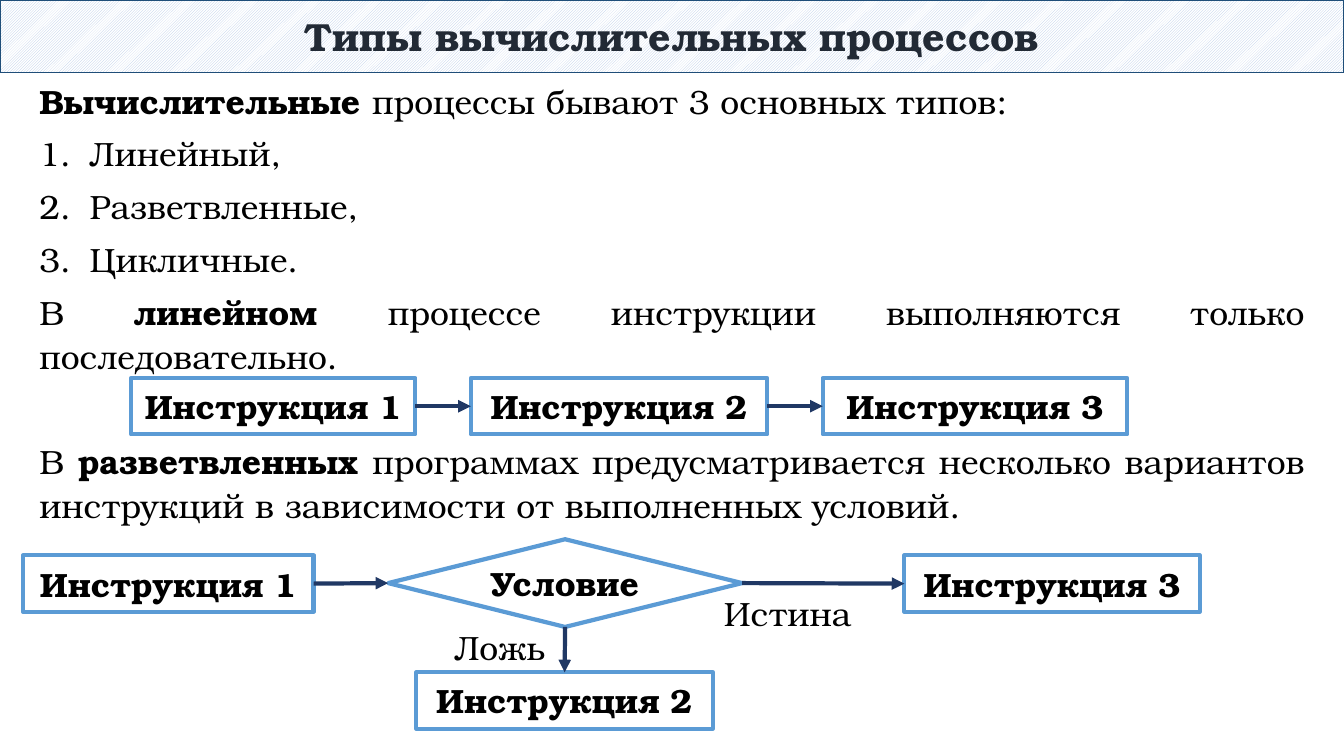
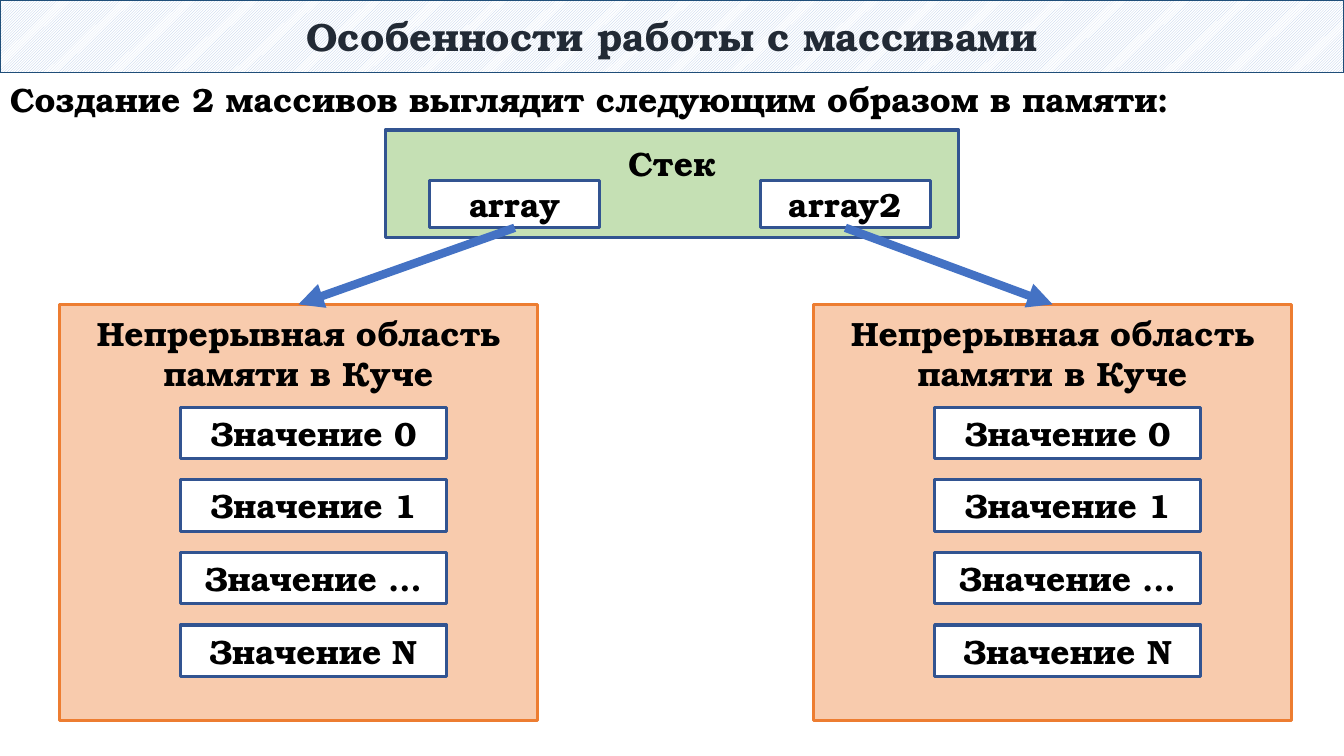
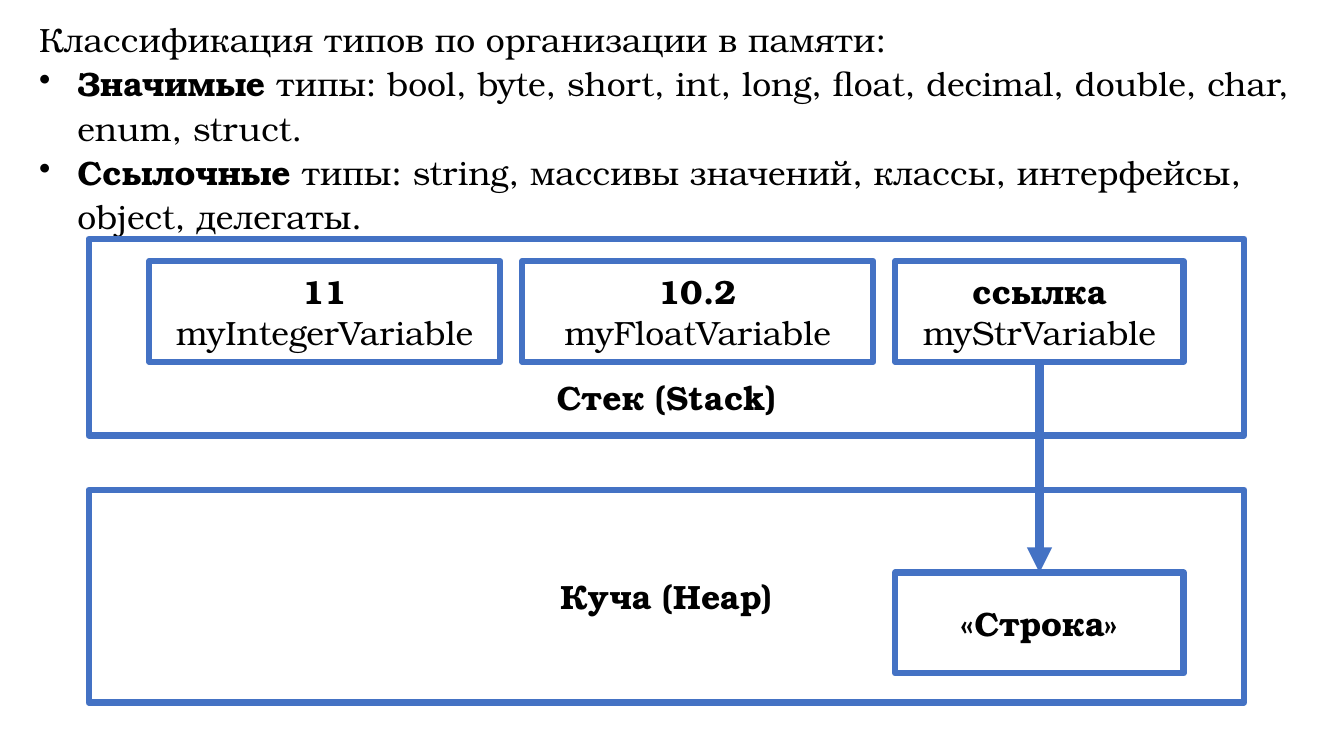
from dataclasses import dataclass
from typing import NamedTuple

from lxml.etree import SubElement
from pptx import Presentation
from pptx.dml.color import RGBColor
from pptx.enum.dml import MSO_PATTERN
from pptx.enum.shapes import MSO_CONNECTOR, MSO_SHAPE
from pptx.enum.text import MSO_ANCHOR, PP_ALIGN
from pptx.oxml.ns import qn
from pptx.util import Inches, Pt


class Outline(NamedTuple):
    color: str
    width: float


class BoxStyle(NamedTuple):
    fill: str
    outline: Outline


@dataclass(frozen=True)
class Theme:
    font: str = "TeX Gyre Bonum"
    text_size: int = 24
    title_size: int = 28
    text_color: str = "000000"
    title_color: str = "222A35"
    band_stripe: str = "B4C7E7"
    white: str = "FFFFFF"
    band_outline: Outline = Outline("1F4E79", 1.25)
    step: BoxStyle = BoxStyle("FFFFFF", Outline("5B9BD5", 3))
    cell: BoxStyle = BoxStyle("FFFFFF", Outline("325491", 2.25))
    stack: BoxStyle = BoxStyle("C5E0B4", Outline("325491", 2.25))
    heap: BoxStyle = BoxStyle("F8CBAD", Outline("ED7D31", 2.25))
    memory: BoxStyle = BoxStyle("FFFFFF", Outline("4472C4", 4.5))
    flow: Outline = Outline("203864", 3)
    reference: Outline = Outline("4472C4", 6)


TOP, LEFT, BOTTOM, RIGHT = range(4)
NUMBERED = ("a:buAutoNum", {"type": "arabicPeriod"})
BULLETED = ("a:buChar", {"char": "•"})


class Deck:
    """Draws slide elements in one theme; asterisks in a text enclose bold runs."""

    def __init__(self, theme):
        self.theme = theme
        self.presentation = Presentation()
        self.presentation.slide_width = Inches(13.33)
        self.presentation.slide_height = Inches(7.5)
        self.slide = None

    def new_slide(self):
        self.slide = self.presentation.slides.add_slide(self.presentation.slide_layouts[6])

    def fill_frame(self, frame, lines, align, anchor, insets, size, color):
        frame.word_wrap = True
        frame.vertical_anchor = anchor
        left, top, right, bottom = insets
        frame.margin_left, frame.margin_right = Inches(left), Inches(right)
        frame.margin_top, frame.margin_bottom = Inches(top), Inches(bottom)
        for index, line in enumerate(lines):
            paragraph = frame.add_paragraph() if index else frame.paragraphs[0]
            paragraph.alignment = align
            for position, text in enumerate(line.split("*")):
                if text:
                    run = paragraph.add_run()
                    run.text = text
                    run.font.name = self.theme.font
                    run.font.size = Pt(size)
                    run.font.bold = position % 2 == 1
                    run.font.color.rgb = RGBColor.from_string(color)

    def set_line(self, line, outline):
        line.color.rgb = RGBColor.from_string(outline.color)
        line.width = Pt(outline.width)

    def shape(self, kind, at, outline):
        shape = self.slide.shapes.add_shape(kind, *map(Inches, at))
        shape.shadow.inherit = False
        self.set_line(shape.line, outline)
        return shape

    def title_band(self, text):
        theme = self.theme
        band = self.shape(MSO_SHAPE.RECTANGLE, (0, 0, 13.33, 0.72), theme.band_outline)
        band.fill.patterned()
        band.fill.pattern = MSO_PATTERN.LIGHT_UPWARD_DIAGONAL
        band.fill.fore_color.rgb = RGBColor.from_string(theme.band_stripe)
        band.fill.back_color.rgb = RGBColor.from_string(theme.white)
        self.fill_frame(band.text_frame, [f"*{text}*"], PP_ALIGN.CENTER, MSO_ANCHOR.MIDDLE,
                        (0.02,) * 4, theme.title_size, theme.title_color)

    def box(self, at, style, *lines, kind=MSO_SHAPE.RECTANGLE, anchor=MSO_ANCHOR.MIDDLE, inset=0.05):
        box = self.shape(kind, at, style.outline)
        box.fill.solid()
        box.fill.fore_color.rgb = RGBColor.from_string(style.fill)
        self.fill_frame(box.text_frame, lines, PP_ALIGN.CENTER, anchor,
                        (0.1, inset, 0.1, inset), self.theme.text_size, self.theme.text_color)
        return box

    def text(self, at, *lines, align=PP_ALIGN.LEFT, side=0.1, spacing=1.0, after=0):
        frame = self.slide.shapes.add_textbox(*map(Inches, at)).text_frame
        self.fill_frame(frame, lines, align, MSO_ANCHOR.TOP, (side, 0.05, side, 0.05),
                        self.theme.text_size, self.theme.text_color)
        for paragraph in frame.paragraphs:
            paragraph.line_spacing = spacing
            paragraph.space_after = Pt(after)
        return frame.paragraphs

    def mark_list(self, paragraphs, marker, indent):
        tag, attributes = marker
        for paragraph in paragraphs:
            properties = paragraph._p.get_or_add_pPr()
            properties.set("marL", str(Inches(indent)))
            properties.set("indent", str(-Inches(indent)))
            SubElement(properties, qn(tag), attributes)

    def arrow(self, start, start_side, end, end_side, outline):
        connector = self.slide.shapes.add_connector(MSO_CONNECTOR.STRAIGHT, 0, 0, 0, 0)
        connector.begin_connect(start, start_side)
        connector.end_connect(end, end_side)
        self.set_line(connector.line, outline)
        SubElement(connector.line._get_or_add_ln(), qn("a:tailEnd"), {"type": "triangle"})
        SubElement(connector._element.spPr, qn("a:effectLst"))


def process_types(deck):
    theme = deck.theme
    deck.new_slide()
    deck.title_band("Типы вычислительных процессов")
    paragraphs = deck.text(
        (0, 0.71, 13.33, 4.6),
        "*Вычислительные *процессы бывают 3 основных типов:",
        "Линейный,",
        "Разветвленные,",
        "Цикличные.",
        "В *линейном *процессе инструкции выполняются только последовательно.",
        "В *разветвленных *программах предусматривается несколько вариантов "
        "инструкций в зависимости от выполненных условий.",
        align=PP_ALIGN.JUSTIFY, side=0.39, spacing=1.1, after=6)
    deck.mark_list(paragraphs[1:4], NUMBERED, 0.5)
    paragraphs[-1].space_before = Pt(37.5)

    sequence = [deck.box((left, 3.75, width, 0.56), theme.step, f"*Инструкция {number}*")
                for number, (left, width) in enumerate([(1.3, 2.82), (4.67, 2.94), (8.16, 3.02)], 1)]
    for start, end in zip(sequence, sequence[1:]):
        deck.arrow(start, RIGHT, end, LEFT, theme.flow)

    first, if_false, if_true = [
        deck.box((left, top, width, 0.56), theme.step, f"*Инструкция {number}*")
        for number, (left, top, width) in enumerate(
            [(0.23, 5.51, 2.88), (4.13, 6.67, 2.94), (8.97, 5.51, 2.93)], 1)]
    condition = deck.box((3.85, 5.35, 3.51, 0.87), theme.step, "*Условие*",
                         kind=MSO_SHAPE.FLOWCHART_DECISION)
    deck.arrow(first, RIGHT, condition, LEFT, theme.flow)
    deck.arrow(condition, RIGHT, if_true, LEFT, theme.flow)
    deck.arrow(condition, BOTTOM, if_false, TOP, theme.flow)
    deck.text((7.08, 5.79, 1.61, 0.55), "Истина", spacing=1.1)
    deck.text((4.41, 6.13, 1.27, 0.55), "Ложь", spacing=1.1)


def arrays_in_memory(deck):
    theme = deck.theme
    deck.new_slide()
    deck.title_band("Особенности работы с массивами")
    deck.text((0, 0.73, 13.33, 0.5), "*Создание 2 массивов выглядит следующим образом в памяти:*")
    deck.box((3.82, 1.29, 5.69, 1.07), theme.stack, "*Стек*", anchor=MSO_ANCHOR.TOP, inset=0.13)
    for name, name_left, heap_left in [("array", 4.26, 0.59), ("array2", 7.54, 8.07)]:
        heap = deck.box((heap_left, 3.02, 4.74, 4.13), theme.heap,
                        "*Непрерывная область памяти в Куче*", anchor=MSO_ANCHOR.TOP, inset=0.08)
        for row, index in enumerate("01…N"):
            deck.box((heap_left + 1.2, 4.04 + 0.72 * row, 2.64, 0.51), theme.cell,
                     f"*Значение {index}*")
        variable = deck.box((name_left, 1.79, 1.69, 0.47), theme.cell, f"*{name}*")
        deck.arrow(variable, BOTTOM, heap, TOP, theme.reference)


def types_in_memory(deck):
    theme = deck.theme
    deck.new_slide()
    paragraphs = deck.text(
        (0.29, 0.1, 12.74, 2.29),
        "Классификация типов по организации в памяти:",
        "*Значимые* типы: bool, byte, short, int, long, float, decimal, double, char, enum, struct.",
        "*Ссылочные* типы: string, массивы значений, классы, интерфейсы, object, делегаты.",
        spacing=1.1)
    deck.mark_list(paragraphs[1:], BULLETED, 0.38)
    deck.box((0.88, 4.86, 11.46, 2.11), theme.memory, "*Куча (Heap)*")
    deck.box((0.88, 2.37, 11.46, 1.95), theme.memory, "*Стек (Stack)*",
             anchor=MSO_ANCHOR.BOTTOM, inset=0.18)
    variables = [
        deck.box((left, 2.59, width, 1), theme.memory, f"*{value}*", name)
        for left, width, value, name in [
            (1.48, 3.48, "11", "myIntegerVariable"),
            (5.18, 3.48, "10.2", "myFloatVariable"),
            (8.88, 2.86, "ссылка", "myStrVariable")]]
    string = deck.box((8.88, 5.68, 2.86, 1), theme.memory, "*«Строка»*")
    deck.arrow(variables[-1], BOTTOM, string, TOP, theme.reference)


def main():
    deck = Deck(Theme())
    process_types(deck)
    arrays_in_memory(deck)
    types_in_memory(deck)
    deck.presentation.save("out.pptx")


if __name__ == "__main__":
    main()
